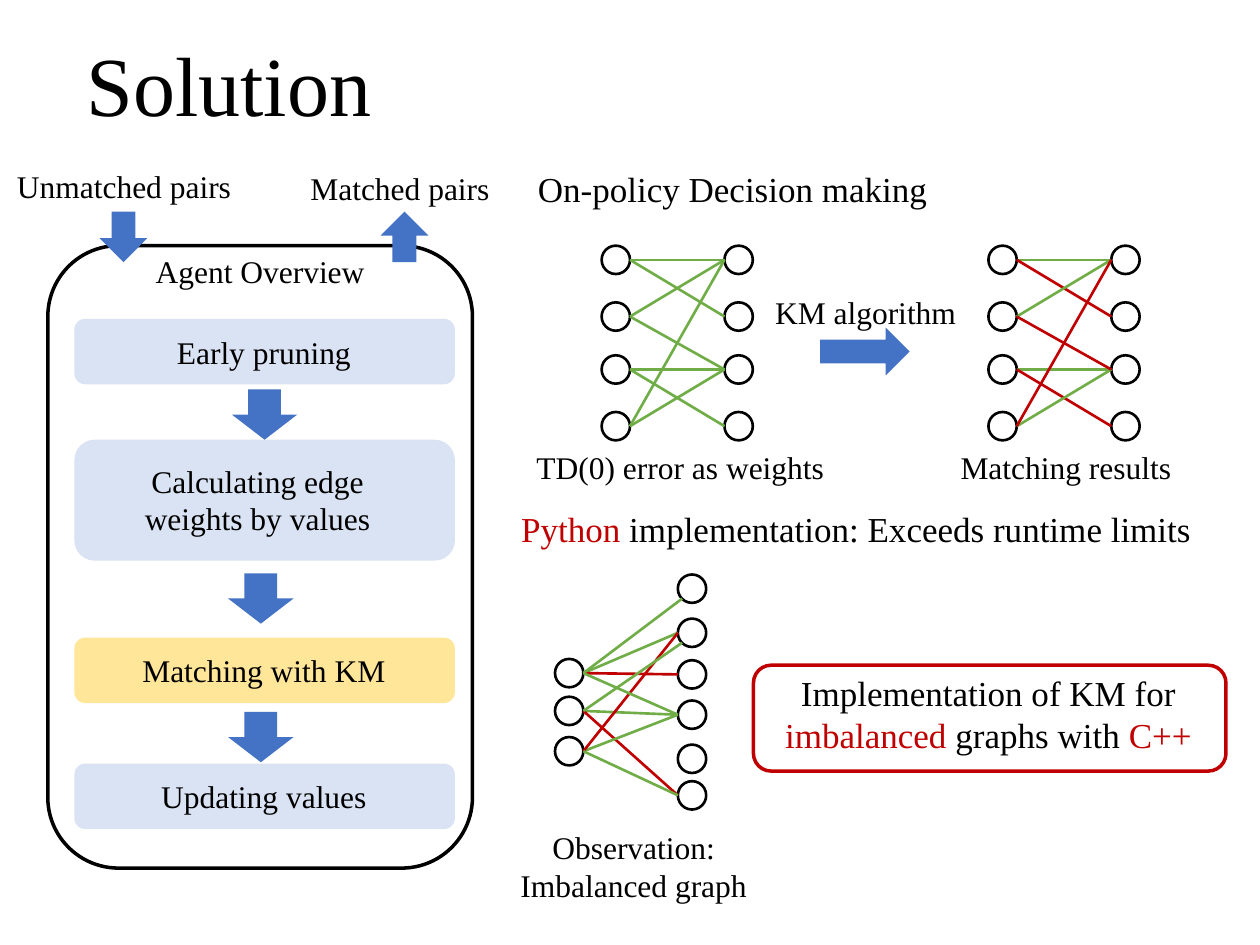
from dataclasses import dataclass

from lxml import etree
from pptx import Presentation
from pptx.dml.color import RGBColor
from pptx.enum.shapes import MSO_CONNECTOR, MSO_SHAPE
from pptx.enum.text import MSO_AUTO_SIZE, PP_ALIGN
from pptx.oxml.ns import qn
from pptx.util import Inches, Pt

ROUNDED, ARROW, CIRCLE = MSO_SHAPE.ROUNDED_RECTANGLE, MSO_SHAPE.RIGHT_ARROW, MSO_SHAPE.OVAL
STRAIGHT = MSO_CONNECTOR.STRAIGHT
CENTER, LEFT = PP_ALIGN.CENTER, PP_ALIGN.LEFT
GROW = MSO_AUTO_SIZE.SHAPE_TO_FIT_TEXT


@dataclass(frozen=True)
class Theme:
    font: str = "Times New Roman"
    black: str = "000000"
    red: str = "C00000"
    green: str = "70AD47"
    blue: str = "4472C4"
    pale_blue: str = "DAE3F3"
    yellow: str = "FFE699"
    title: int = 48
    heading: int = 20
    body: int = 18
    frame_line: float = 2
    graph_line: float = 1.5


theme = Theme()
prs = Presentation()
prs.slide_width, prs.slide_height = Inches(10), Inches(7.5)
slide = prs.slides.add_slide(prs.slide_layouts[6])

# Grid of 100 columns by 75 rows
COL, ROW = prs.slide_width / 100, prs.slide_height / 75


def add_figure(parent, preset, col, row, cols, rows, fill=None, line=None, weight=0, turn=0):
    figure = parent.shapes.add_shape(
        preset, int(col * COL), int(row * ROW), int(cols * COL), int(rows * ROW))
    figure.shadow.inherit = False
    figure.rotation = turn
    if fill:
        figure.fill.solid()
        figure.fill.fore_color.rgb = RGBColor.from_string(fill)
    else:
        figure.fill.background()
    if line:
        figure.line.color.rgb = RGBColor.from_string(line)
        figure.line.width = Pt(weight)
    else:
        figure.line.fill.background()


def add_label(col, row, cols, rows, paragraphs, size=theme.body, align=CENTER):
    """Each paragraph is a list of (wording, colour) runs."""
    label = slide.shapes.add_textbox(
        int(col * COL), int(row * ROW), int(cols * COL), int(rows * ROW))
    frame = label.text_frame
    frame.word_wrap = True
    frame.auto_size = GROW
    for index, runs in enumerate(paragraphs):
        paragraph = frame.paragraphs[0] if index == 0 else frame.add_paragraph()
        paragraph.alignment = align
        for wording, color in runs:
            run = paragraph.add_run()
            run.text = wording
            run.font.name = theme.font
            run.font.size = Pt(size)
            run.font.color.rgb = RGBColor.from_string(color)


# Title and section headings
add_label(5.9, 2.1, 88.2, 9.1, [[("Solution", theme.black)]], theme.title, LEFT)
add_label(41.7, 12.8, 60.5, 4.4, [[("On-policy Decision making", theme.black)]],
          theme.heading, LEFT)
add_label(37.7, 39.8, 60.5, 4.4,
          [[("Python", theme.red), (" implementation: Exceeds runtime limits", theme.black)]],
          theme.heading)

# Agent frame
add_figure(slide, ROUNDED, 3.8, 19.5, 33.7, 49.4, line=theme.black, weight=theme.frame_line)
add_label(3.8, 19.5, 33.7, 4, [[("Agent Overview", theme.black)]])

# Agent steps: row, height, fill, label column, label lines
steps = [
    (25.3, 5.2, theme.pale_blue, 4.1, ["Early pruning"]),
    (34.9, 9.6, theme.pale_blue, 3.6, ["Calculating edge", "weights by values"]),
    (50.6, 5.2, theme.yellow, 4.1, ["Matching with KM"]),
    (60.6, 5.2, theme.pale_blue, 4.1, ["Updating values"]),
]
for row, rows, fill, label_col, lines in steps:
    add_figure(slide, ROUNDED, 5.9, row, 30.2, rows, fill=fill)
    label_rows = 0.9 + 3.1 * len(lines)
    add_label(label_col, row + (rows - label_rows) / 2, 33.7, label_rows,
              [[(line, theme.black)] for line in lines])

# Block arrows: column, row, width, height, turn
for col, row, cols, rows, turn in [
    (19, 30.3, 4, 5.2, 90), (18.7, 44.9, 4, 5.2, 90), (18.7, 55.9, 4, 5.2, 90),
    (7.8, 16.9, 4, 3.8, 90), (30.1, 16.9, 4, 3.8, 270), (65.1, 26, 7.1, 3.8, 0),
]:
    add_figure(slide, ARROW, col, row, cols, rows, fill=theme.blue, turn=turn)

# Captions of the flows and graphs
for col, row, cols, lines in [
    (-1.2, 12.8, 22.1, ["Unmatched pairs"]),
    (20.7, 12.9, 22.1, ["Matched pairs"]),
    (41.3, 35.1, 25.4, ["TD(0) error as weights"]),
    (56, 22.8, 25.4, ["KM algorithm"]),
    (71.9, 35.1, 25.4, ["Matching results"]),
    (37.6, 65.2, 25.4, ["Observation:", "Imbalanced graph"]),
]:
    add_label(col, row, cols, 0.9 + 3.1 * len(lines),
              [[(line, theme.black)] for line in lines])

# Bipartite graphs: left column, node rows of both sides, (left, right, colour) edges
NODE, SIDE_GAP = 2.25, 9.75
square_rows = [19.5, 24, 28.2, 32.7]
square_edges = [(0, 0), (0, 1), (1, 0), (2, 2), (2, 3), (3, 2), (1, 2), (3, 0)]
matched = {(0, 1), (2, 3), (1, 2), (3, 0)}
graphs = [
    (47.75, square_rows, square_rows, [(*edge, theme.green) for edge in square_edges]),
    (78.45, square_rows, square_rows,
     [(*edge, theme.red if edge in matched else theme.green) for edge in square_edges]),
    (44.05, [52.3, 55.3, 58.5], [45.6, 49.1, 52.4, 55.6, 59.1, 62],
     [(0, 1, theme.green), (0, 2, theme.red), (1, 3, theme.green), (1, 5, theme.red),
      (2, 3, theme.green), (2, 1, theme.red), (0, 0, theme.green), (0, 3, theme.green),
      (1, 1, theme.green), (2, 5, theme.green)]),
]
for left_col, left_rows, right_rows, edges in graphs:
    graph = slide.shapes.add_group_shape()
    right_col = left_col + SIDE_GAP
    for col, node_rows in [(left_col, left_rows), (right_col, right_rows)]:
        for row in node_rows:
            add_figure(graph, CIRCLE, col, row, NODE, NODE,
                       line=theme.black, weight=theme.graph_line)
    for left, right, color in edges:
        end_col, end_row = right_col, right_rows[right] + NODE / 2
        # A steep edge meets the lower left of its circle
        if left_rows[left] - right_rows[right] > 6 and left == right:
            end_col, end_row = right_col + 0.15 * NODE, right_rows[right] + 0.85 * NODE
        edge = graph.shapes.add_connector(
            STRAIGHT, int((left_col + NODE) * COL), int((left_rows[left] + NODE / 2) * ROW),
            int(end_col * COL), int(end_row * ROW))
        edge.line.color.rgb = RGBColor.from_string(color)
        edge.line.width = Pt(theme.graph_line)
        etree.SubElement(edge.element.spPr, qn("a:effectLst"))

# Conclusion
add_label(58.8, 52.8, 39.3, 7.7,
          [[("Implementation of KM for ", theme.black), ("imbalanced", theme.red),
            (" graphs with ", theme.black), ("C++", theme.red)]], theme.heading)
add_figure(slide, ROUNDED, 59.8, 52.8, 37.5, 8.4, line=theme.red, weight=theme.frame_line)

prs.save("out.pptx")
